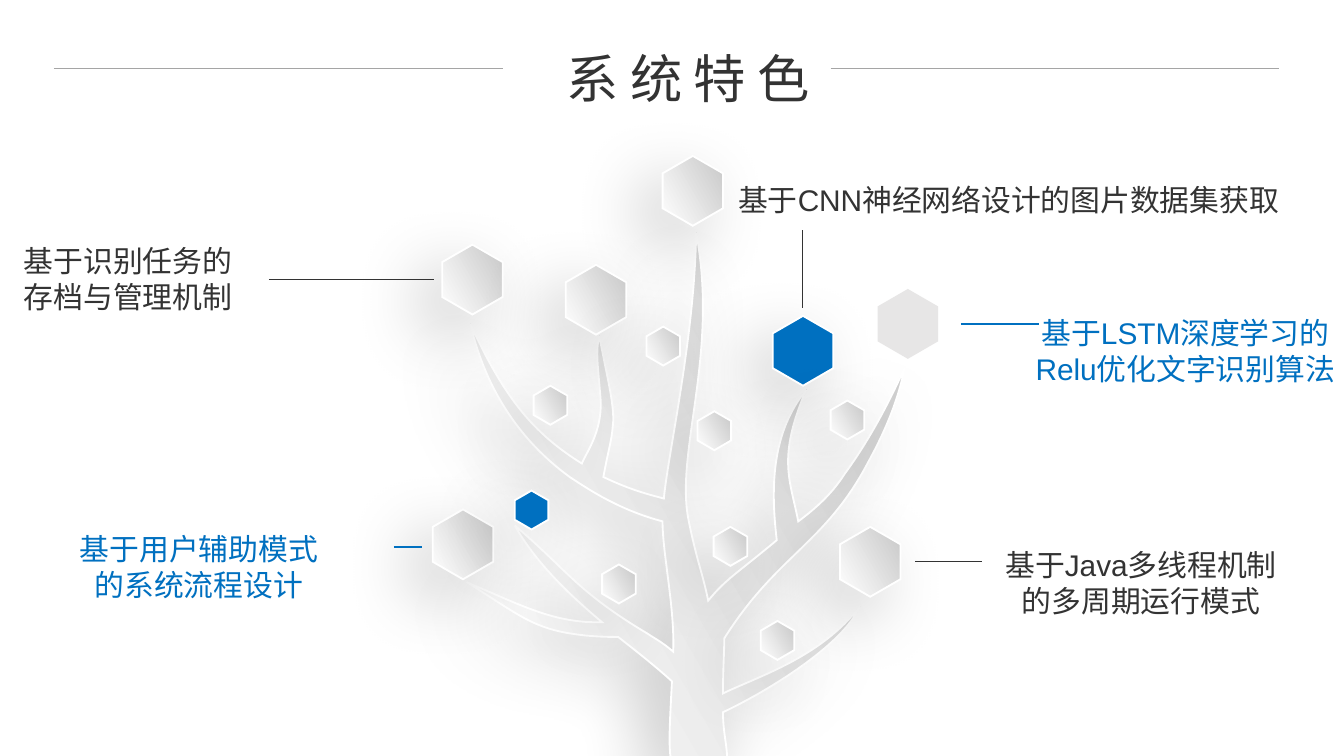
from dataclasses import dataclass
from typing import Optional

import pptx
import pptx.dml.color
import pptx.enum.shapes
import pptx.enum.text
import pptx.oxml
import pptx.oxml.ns
import pptx.util

Inches = pptx.util.Inches
Pt = pptx.util.Pt
RGBColor = pptx.dml.color.RGBColor
Align = pptx.enum.text.PP_ALIGN
Anchor = pptx.enum.text.MSO_ANCHOR
qn = pptx.oxml.ns.qn

WHITE = RGBColor(0xFF, 0xFF, 0xFF)
SILVER = RGBColor(0xC8, 0xC8, 0xC8)
PALE = RGBColor(0xE7, 0xE6, 0xE6)
RULE = RGBColor(0xA5, 0xA5, 0xA5)
DARK = RGBColor(0x33, 0x33, 0x33)
BLUE = RGBColor(0x00, 0x70, 0xC0)

LARGE = (0.45, 0.52)
SMALL = (0.25, 0.29)


@dataclass
class Leaf:
    left: float
    top: float
    size: tuple[float, float]
    color: Optional[RGBColor] = None  # None gives the silver gradient
    raised: bool = True


@dataclass
class Label:
    text: str
    box: tuple[float, float, float, float]
    color: RGBColor
    align: Align = Align.CENTER
    inset: float = 0.1
    wrap: bool = True


@dataclass
class Rule:
    start: tuple[float, float]
    end: tuple[float, float]
    color: RGBColor


LEAVES = [
    Leaf(3.29, 1.82, LARGE), Leaf(4.93, 1.16, LARGE),
    Leaf(6.53, 2.15, LARGE, PALE, raised=False),
    Leaf(6.25, 3.92, LARGE), Leaf(4.21, 1.97, LARGE), Leaf(3.22, 3.79, LARGE),
    Leaf(5.75, 2.35, LARGE, BLUE),
    Leaf(5.66, 4.62, SMALL), Leaf(3.97, 2.87, SMALL), Leaf(4.81, 2.43, SMALL),
    Leaf(5.31, 3.92, SMALL), Leaf(3.83, 3.65, SMALL, BLUE),
    Leaf(6.18, 2.98, SMALL), Leaf(4.48, 4.2, SMALL), Leaf(5.19, 3.06, SMALL),
]

LABELS = [
    Label("基于LSTM深度学习的Relu优化文字识别算法", (7.6, 2.29, 2.44, 0.64), BLUE),
    Label("基于Java多线程机制的多周期运行模式", (7.31, 4.02, 2.36, 0.64), DARK),
    Label("基于CNN神经网络设计的图片数据集获取", (4.93, 1.3, 4.91, 0.37), DARK, inset=0.34),
    Label("基于用户辅助模式\n的系统流程设计", (0.49, 3.9, 1.98, 0.64), BLUE, wrap=False),
    Label("基于识别任务的\n存档与管理机制", (0.08, 1.76, 1.92, 0.64), DARK, Align.LEFT),
]

RULES = [
    Rule((6.18, 0.51), (9.52, 0.51), RULE),
    Rule((0.4, 0.51), (3.74, 0.51), RULE),
    Rule((7.15, 2.41), (7.73, 2.41), BLUE),
    Rule((6.81, 4.18), (7.31, 4.18), DARK),
    Rule((2.0, 2.08), (3.23, 2.08), DARK),
    Rule((5.97, 2.29), (5.97, 1.71), DARK),
    Rule((2.93, 4.07), (3.14, 4.07), BLUE),
]

TREE_START = (5.41, 5.73)
# Each row is one Bezier curve: two control points and an end point.
TREE_CURVES = [
    (5.01, 5.73, 5.01, 5.73, 5.01, 5.73), (4.97, 5.6, 4.98, 5.46, 5, 5.07),
    (4.88, 4.96, 4.74, 4.85, 4.6, 4.74), (4.44, 4.74, 4.34, 4.73, 4.22, 4.71),
    (3.95, 4.66, 3.85, 4.57, 3.47, 4.33), (3.89, 4.51, 4.13, 4.64, 4.48, 4.63),
    (4.23, 4.42, 3.99, 4.19, 3.83, 3.91), (4.21, 4.23, 4.29, 4.4, 4.81, 4.71),
    (4.87, 4.75, 4.93, 4.78, 5.01, 4.85), (5.01, 4.84, 5.01, 4.84, 5.01, 4.84),
    (5.02, 4.51, 4.93, 4.12, 4.93, 3.88), (4.63, 3.8, 4.42, 3.67, 4.24, 3.55),
    (3.8, 3.23, 3.59, 2.8, 3.5, 2.41), (3.76, 2.98, 3.98, 3.23, 4.33, 3.45),
    (4.36, 3.37, 4.48, 3.22, 4.47, 2.98), (4.45, 2.72, 4.43, 2.62, 4.46, 2.5),
    (4.51, 2.78, 4.58, 3.03, 4.56, 3.17), (4.55, 3.29, 4.53, 3.33, 4.49, 3.55),
    (4.7, 3.65, 4.83, 3.68, 4.94, 3.71), (4.97, 3.38, 5.17, 2.51, 5.18, 1.73),
    (5.35, 2.63, 5.03, 3.34, 5.12, 3.85), (5.18, 4.16, 5.23, 4.27, 5.27, 4.47),
    (5.4, 4.31, 5.48, 4.27, 5.78, 4.02), (5.73, 3.6, 5.75, 3.21, 6, 2.9),
    (5.78, 3.41, 5.88, 3.57, 5.94, 3.88), (6.1, 3.76, 6.2, 3.66, 6.29, 3.52),
    (6.4, 3.37, 6.56, 3.12, 6.73, 2.74), (6.68, 3, 6.57, 3.24, 6.46, 3.44),
    (6.14, 4.05, 5.78, 4.13, 5.39, 4.75), (5.39, 4.83, 5.38, 4.98, 5.38, 5.16),
    (5.65, 5.03, 6.11, 4.89, 6.4, 4.51), (6.28, 4.79, 5.74, 5.13, 5.38, 5.3),
    (5.38, 5.48, 5.42, 5.55, 5.41, 5.73),
]


def add_outline(slide, points: list[tuple[float, float]]):
    """Add a closed freeform through points given in inches."""
    vertices = [(Inches(x), Inches(y)) for x, y in points]
    builder = slide.shapes.build_freeform(*vertices[0])
    builder.add_line_segments(vertices[1:], close=True)
    return builder.convert_to_shape()


def format_outline(shape, color: Optional[RGBColor], raised: bool) -> None:
    shape.shadow.inherit = False
    if color is None:
        shape.fill.gradient()
        shape.fill.gradient_angle = 30
        for stop, stop_color in zip(shape.fill.gradient_stops, (WHITE, SILVER)):
            stop.color.rgb = stop_color
    else:
        shape.fill.solid()
        shape.fill.fore_color.rgb = color
    if not raised:
        shape.line.fill.background()
        return
    shape.line.color.rgb = WHITE
    shape.line.width = Pt(1)
    line = shape._element.spPr.find(qn("a:ln"))
    line.append(line.makeelement(qn("a:miter"), {"lim": "800000"}))
    effects = shape._element.spPr.find(qn("a:effectLst"))
    effects.append(pptx.oxml.parse_xml(
        f'<a:outerShdw {pptx.oxml.ns.nsdecls("a")} blurRad="{Pt(38)}" dist="{Pt(16)}" '
        f'dir="{135 * 60000}" algn="tr" rotWithShape="0">'
        '<a:srgbClr val="000000"><a:alpha val="21000"/></a:srgbClr></a:outerShdw>'))


def add_tree(slide) -> None:
    points = [TREE_START]
    for curve in TREE_CURVES:
        points += zip(curve[::2], curve[1::2])
    shape = add_outline(slide, points)
    # Join every three straight segments into one cubic curve.
    segments = list(shape._element.iter(qn("a:lnTo")))
    for first, second, third in zip(segments[::3], segments[1::3], segments[2::3]):
        curve = first.makeelement(qn("a:cubicBezTo"))
        first.addprevious(curve)
        for segment in (first, second, third):
            curve.append(segment[0])
            segment.getparent().remove(segment)
    format_outline(shape, None, raised=True)


def add_leaf(slide, leaf: Leaf) -> None:
    """Add a hexagon that stands on a corner."""
    width, height = leaf.size
    corners = [(0.5, 0), (1, 0.25), (1, 0.75), (0.5, 1), (0, 0.75), (0, 0.25)]
    shape = add_outline(slide, [(leaf.left + x * width, leaf.top + y * height) for x, y in corners])
    format_outline(shape, leaf.color, leaf.raised)


def write_text(frame, text: str, *, size: float, color: RGBColor,
               align: Align = Align.CENTER, spacing: float = 0) -> None:
    frame.text = text
    for paragraph in frame.paragraphs:
        paragraph.alignment = align
        run = paragraph.runs[0]
        run.font.size = Pt(size)
        run.font.name = "Arial"
        run.font.color.rgb = color
        properties = run._r.get_or_add_rPr()
        properties.append(properties.makeelement(qn("a:ea"), {"typeface": "Arial"}))
        if spacing:
            properties.set("spc", str(int(spacing * 100)))


def add_label(slide, label: Label) -> None:
    shape = slide.shapes.add_textbox(*map(Inches, label.box))
    frame = shape.text_frame
    frame.word_wrap = label.wrap
    frame.margin_left = Inches(label.inset)
    write_text(frame, label.text, size=16, color=label.color, align=label.align)


def add_rule(slide, rule: Rule) -> None:
    connector = slide.shapes.add_connector(
        pptx.enum.shapes.MSO_CONNECTOR.STRAIGHT, *map(Inches, rule.start + rule.end))
    connector.line.color.rgb = rule.color
    connector.line.width = Pt(0.75)
    properties = connector._element.spPr
    properties.append(properties.makeelement(qn("a:effectLst")))


def place_title(slide) -> None:
    title = slide.shapes.title
    title.left, title.top, title.width, title.height = map(Inches, (4.06, 0.29, 2.12, 0.57))
    title.text_frame.word_wrap = False
    title.text_frame.vertical_anchor = Anchor.MIDDLE
    write_text(title.text_frame, "系统特色", size=28, color=DARK, spacing=6)


def main() -> None:
    presentation = pptx.Presentation()
    presentation.slide_width = Inches(10)
    presentation.slide_height = Inches(10 * 9 / 16)
    slide = presentation.slides.add_slide(presentation.slide_layouts[5])
    place_title(slide)
    add_tree(slide)
    for leaf in LEAVES:
        add_leaf(slide, leaf)
    for label in LABELS:
        add_label(slide, label)
    for rule in RULES:
        add_rule(slide, rule)
    presentation.save("out.pptx")


if __name__ == "__main__":
    main()
